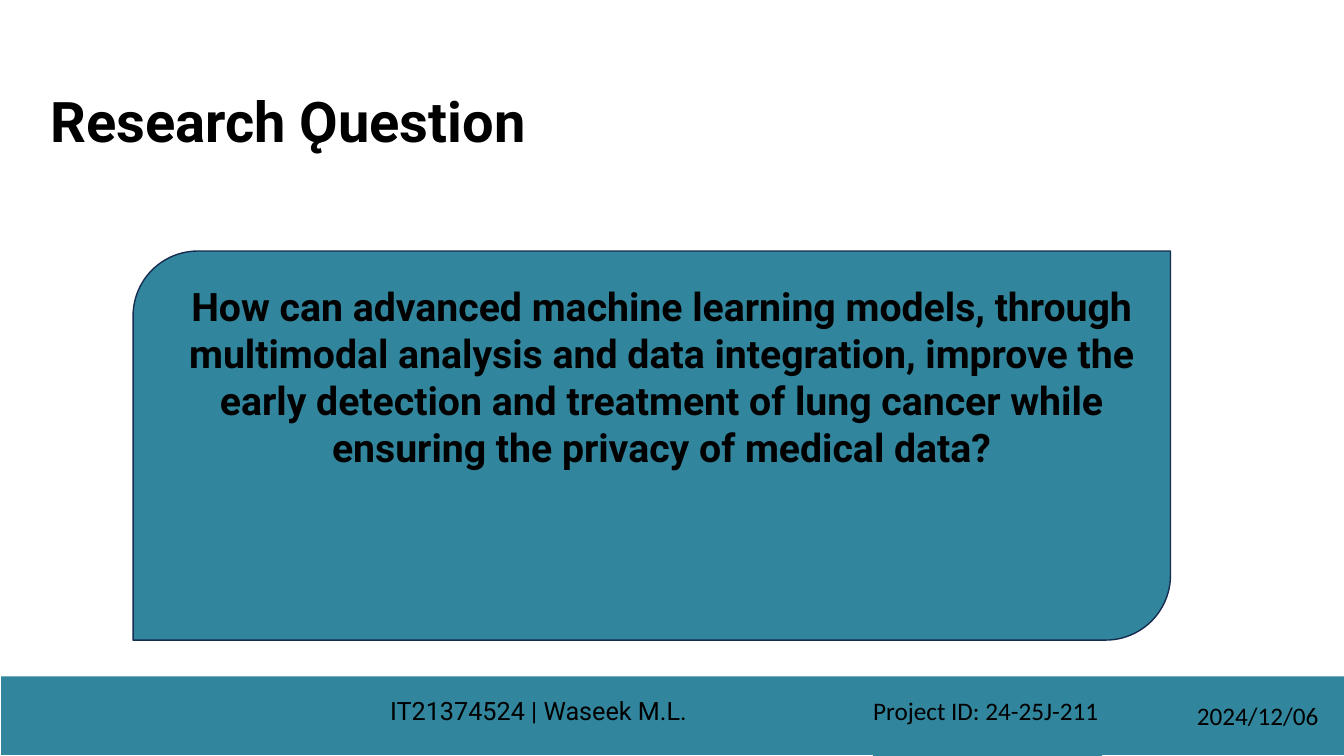
from pptx import Presentation
from pptx.dml.color import RGBColor
from pptx.enum.shapes import MSO_SHAPE
from pptx.enum.text import MSO_ANCHOR, MSO_AUTO_SIZE, PP_ALIGN
from pptx.util import Inches, Pt

# Content: boxes are left, top, width, height in percent of the slide
TITLE = ("Research Ǫuestion", (3.75, 11.47, 36.31, 9.2))
QUERY = (
    "How can advanced machine learning models, through multimodal analysis "
    "and data integration, improve the early detection and treatment of lung "
    "cancer while ensuring the privacy of medical data?",
    (13.73, 37.33, 70.97, 38.13),
)
CARD = (9.9, 33.2, 77.19, 51.47)
BAND = (0.08, 89.47, 99.92, 10.4)
FOOTER = [
    ("IT21374524 | Waseek M.L.", (29.03, 92, 28.88, 7.87), "author"),
    ("Project ID: 24-25J-211", (64.97, 92, 17.03, 8.13), "note"),
    ("2024/12/06", (89.05, 92.67, 9.3, 4), "note"),
]

# Theme
THEME = {
    "teal": RGBColor(0x31, 0x85, 0x9C),
    "navy": RGBColor(0x17, 0x2C, 0x51),
    "ink": RGBColor(0, 0, 0),
    "title": {"name": "Roboto", "size": Pt(40), "bold": True},
    "query": {"name": "Roboto", "size": Pt(28), "bold": True},
    "author": {"name": "Roboto", "size": Pt(18), "bold": False},
    "note": {"name": "Calibri", "size": Pt(18), "bold": False},
}
FRAME = {
    "margin_left": 0, "margin_top": 0, "margin_right": 0, "margin_bottom": 0,
    "word_wrap": True, "auto_size": MSO_AUTO_SIZE.NONE,
    "vertical_anchor": MSO_ANCHOR.TOP,
}

deck = Presentation()
deck.slide_width, deck.slide_height = Inches(13.33), Inches(7.5)
slide = deck.slides.add_slide(deck.slide_layouts[5])


def place(box):
    sides = (deck.slide_width, deck.slide_height) * 2
    return [round(side * part / 100) for side, part in zip(sides, box)]


def style(item, values):
    for key, value in values.items():
        setattr(item, key, value)


def write(shape, text, look, align=PP_ALIGN.LEFT):
    frame = shape.text_frame
    style(frame, FRAME)
    frame.text = text
    para = frame.paragraphs[0]
    para.alignment = align
    font = para.runs[0].font
    style(font, THEME[look])
    font.color.rgb = THEME["ink"]


def panel(kind, box, edge=None):
    shape = slide.shapes.add_shape(kind, *place(box))
    shape.shadow.inherit = False
    shape.fill.solid()
    shape.fill.fore_color.rgb = THEME["teal"]
    if edge:
        shape.line.color.rgb = THEME[edge]
        shape.line.width = Pt(1)
    else:
        shape.line.fill.background()
    return shape


# Title
head = slide.shapes.title
style(head, dict(zip(("left", "top", "width", "height"), place(TITLE[1]))))
write(head, TITLE[0], "title")

# Question card
panel(MSO_SHAPE.ROUND_2_DIAG_RECTANGLE, CARD, "navy")
query = slide.shapes.add_textbox(*place(QUERY[1]))
write(query, QUERY[0], "query", PP_ALIGN.CENTER)

# Footer band and its labels
panel(MSO_SHAPE.RECTANGLE, BAND)
for text, box, look in FOOTER:
    write(panel(MSO_SHAPE.RECTANGLE, box), text, look)

deck.save("out.pptx")
